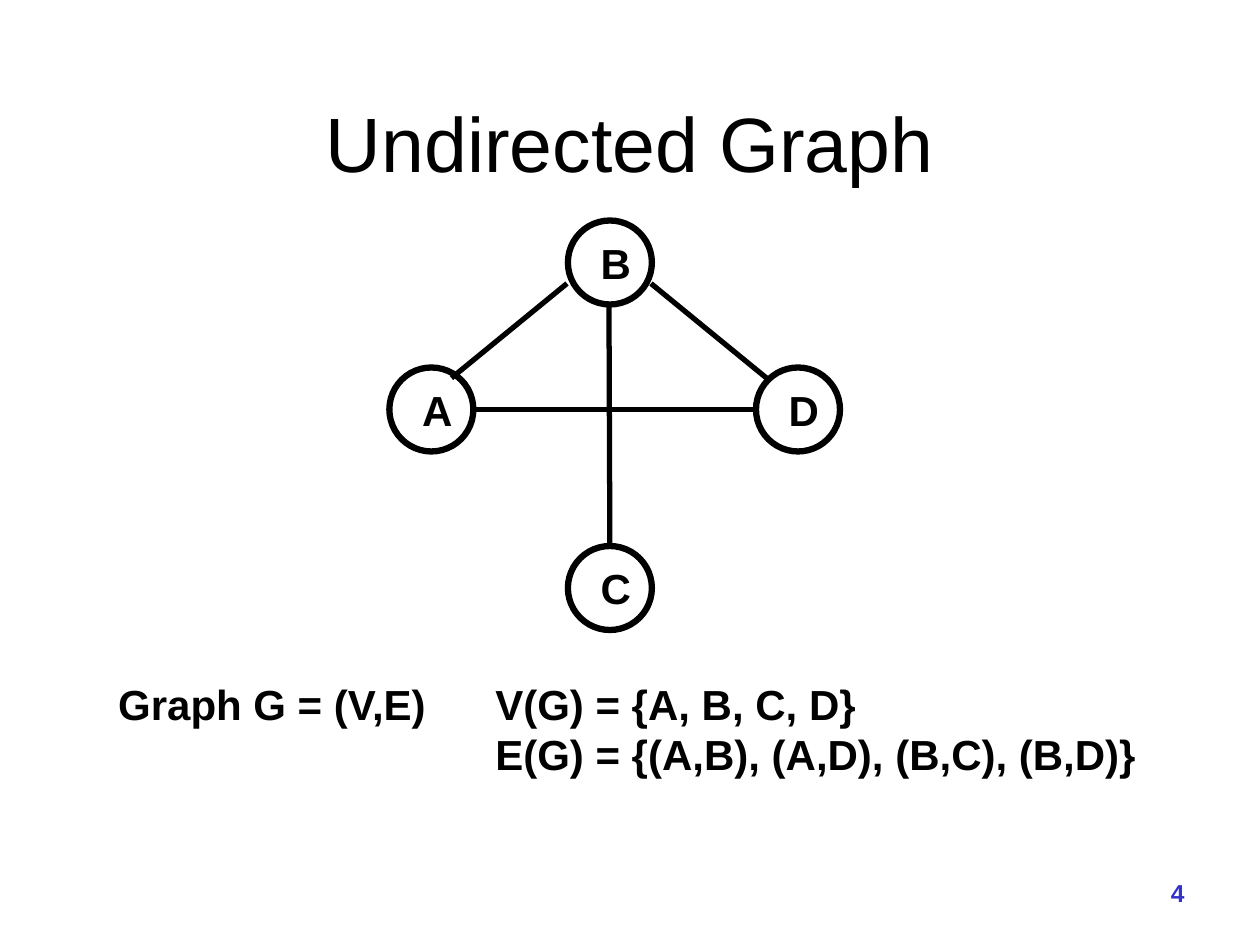
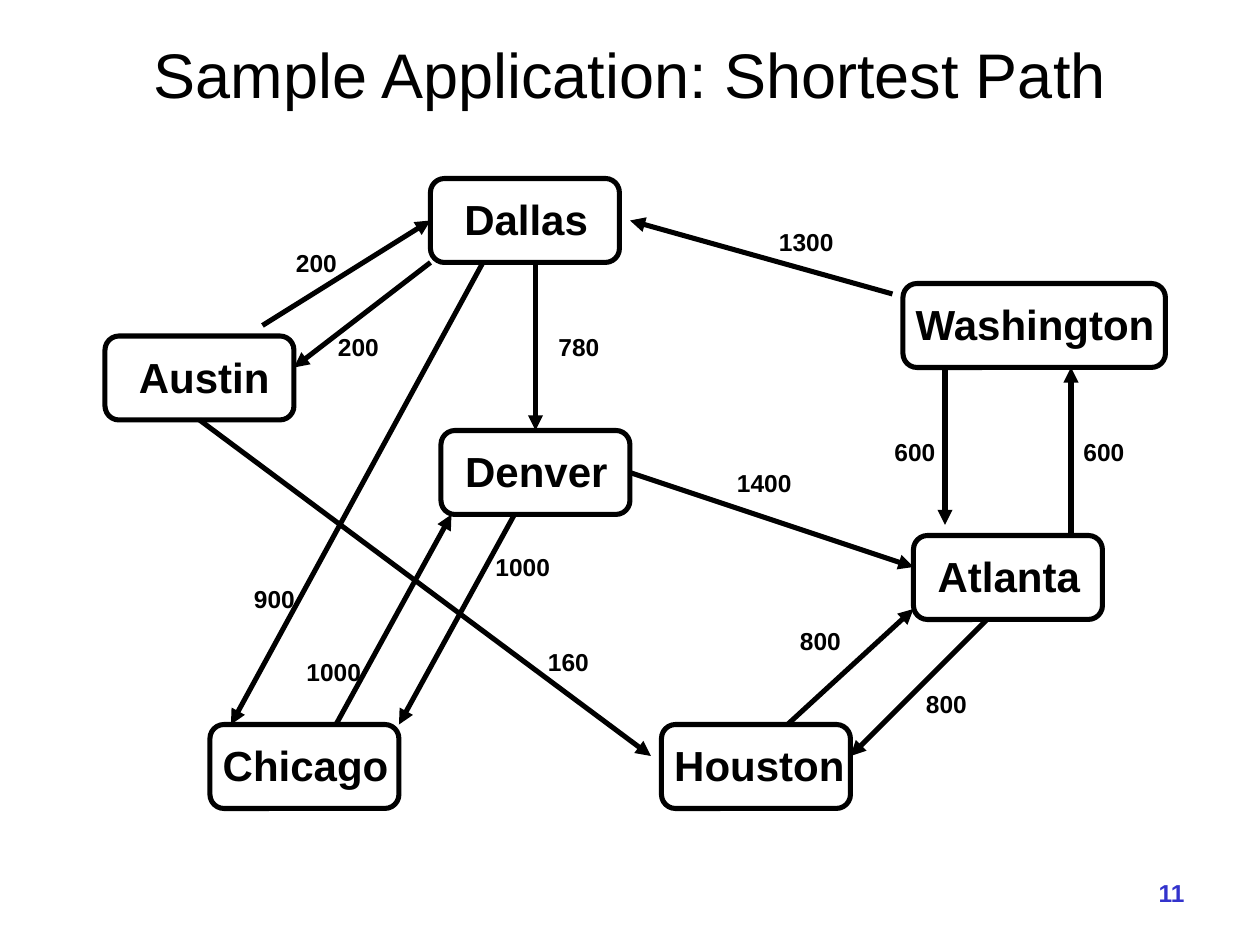
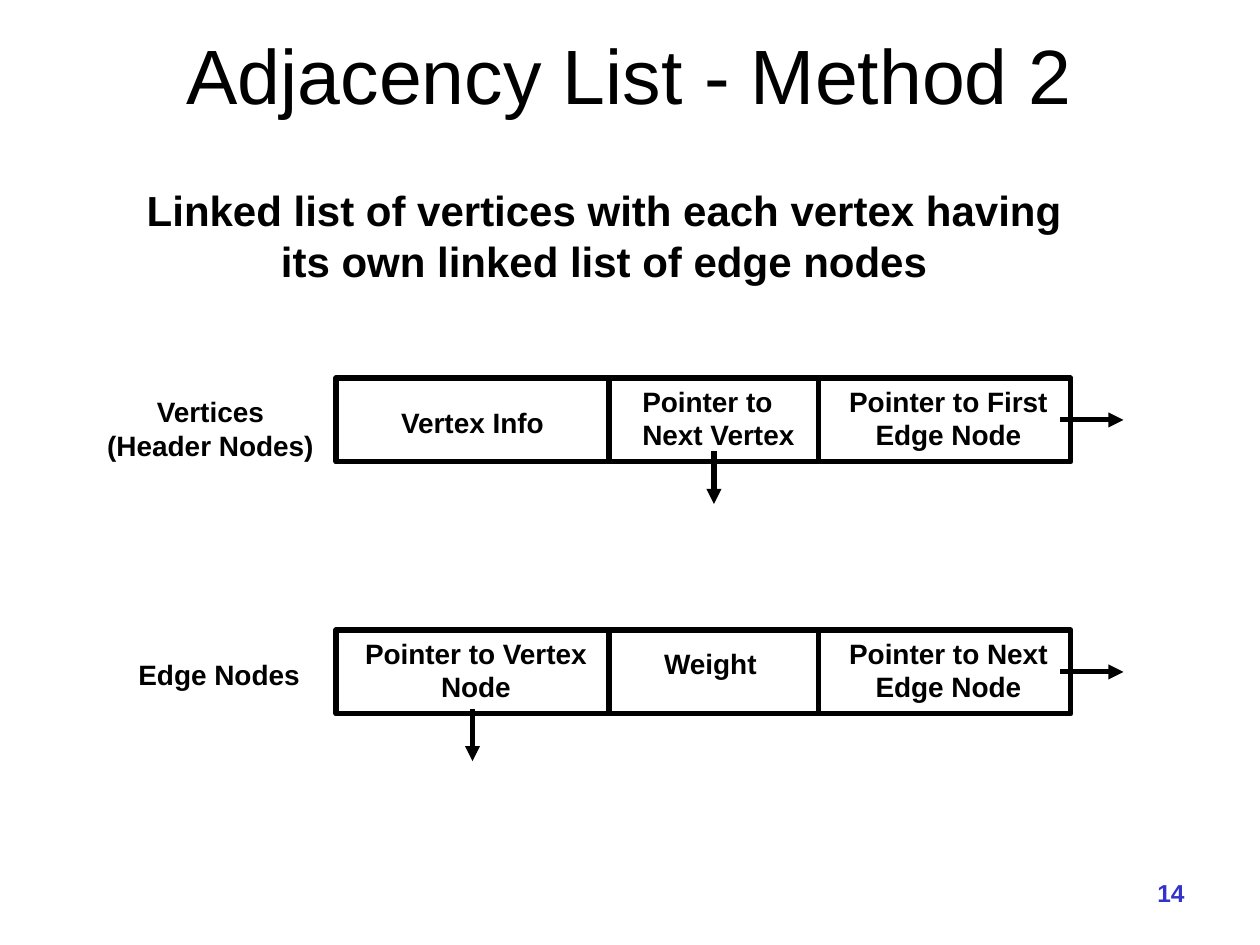
from lxml.etree import SubElement
from pptx import Presentation
from pptx.dml.color import RGBColor
from pptx.enum.shapes import MSO_CONNECTOR, MSO_SHAPE
from pptx.enum.text import MSO_ANCHOR, PP_ALIGN
from pptx.oxml.ns import qn
from pptx.util import Pt

FONT = "Arial"
BLACK = "000000"
BLUE = "3333CC"
LEFT, CENTER, RIGHT = PP_ALIGN.LEFT, PP_ALIGN.CENTER, PP_ALIGN.RIGHT
TOP, MIDDLE = MSO_ANCHOR.TOP, MSO_ANCHOR.MIDDLE
BOX_LINE = 2.89
NODE_H = 48


def rgb(color):
    """Turn a hex string into a colour."""
    return RGBColor.from_string(color)


def write(tf, lines, size, align=LEFT, color=BLACK, bold=True):
    """Fill a text frame with one paragraph per line."""
    for i, line in enumerate(lines):
        p = tf.paragraphs[0] if i == 0 else tf.add_paragraph()
        p.alignment = align
        r = p.add_run()
        r.text = line
        r.font.name = FONT
        r.font.size = Pt(size)
        r.font.bold = bold
        r.font.color.rgb = rgb(color)


def add_text(s, at, lines, size, align=LEFT, color=BLACK, bold=True, anchor=TOP, wrap=False):
    """Add a text box and return its text frame."""
    tf = s.shapes.add_textbox(*map(Pt, at)).text_frame
    tf.word_wrap = wrap
    tf.vertical_anchor = anchor
    write(tf, lines, size, align, color, bold)
    return tf


def add_box(s, kind, at, lines, size, inset, align=LEFT, anchor=MIDDLE, width=BOX_LINE):
    """Add an outlined shape whose text is set in by (left, top, bottom)."""
    sp = s.shapes.add_shape(kind, *map(Pt, at))
    sp.shadow.inherit = False
    sp.fill.background()
    sp.line.color.rgb = rgb(BLACK)
    sp.line.width = Pt(width)
    tf = sp.text_frame
    tf.word_wrap = True
    tf.vertical_anchor = anchor
    tf.margin_left, tf.margin_top, tf.margin_bottom = map(Pt, inset)
    tf.margin_right = 0
    write(tf, lines, size, align)
    return sp


def add_line(s, start, end, width=BOX_LINE, arrow=True):
    """Add a straight line, with an arrowhead at its end if wanted."""
    c = s.shapes.add_connector(MSO_CONNECTOR.STRAIGHT, *map(Pt, start + end))
    c.line.color.rgb = rgb(BLACK)
    c.line.width = Pt(width)
    if arrow:
        SubElement(c.line._get_or_add_ln(), qn("a:tailEnd"), type="triangle")
    SubElement(c._element.spPr, qn("a:effectLst"))
    return c


def add_tab_stop(tf, position):
    """Give every paragraph one left tab stop."""
    for p in tf.paragraphs:
        tabs = SubElement(p._p.get_or_add_pPr(), qn("a:tabLst"))
        SubElement(tabs, qn("a:tab"), pos=str(Pt(position)), algn="l")


def add_slide(prs, title, number, size=44, top=12, height=60):
    """Add a blank slide with its title and page number."""
    s = prs.slides.add_slide(prs.slide_layouts[6])
    add_text(s, (54, top, 612, height), [title], size, CENTER, bold=False,
             anchor=MIDDLE, wrap=True)
    add_text(s, (534, 498, 150, 30), [number], 14, RIGHT, BLUE, wrap=True)
    return s


def undirected_graph(prs):
    """Draw the four vertices, their edges and the set notation."""
    s = add_slide(prs, "Undirected Graph", "4", top=48, height=66)
    vertices = {"A": (222.5, 210), "B": (324.5, 126), "C": (324.5, 312), "D": (432, 210)}
    for name, (x, y) in vertices.items():
        add_box(s, MSO_SHAPE.OVAL, (x, y, NODE_H, NODE_H), [name], 24, (11.7, 0, 0), width=3.6)
    edges = [
        ((270, 234), (432, 234)),
        ((258, 216), (324, 162)),
        ((372, 162), (438, 216)),
        ((348, 174), (348.5, 312)),
    ]
    for start, end in edges:
        add_line(s, start, end, width=3, arrow=False)
    sets = ["Graph G = (V,E)\tV(G) = {A, B, C, D}", "\tE(G) = {(A,B), (A,D), (B,C), (B,D)}"]
    add_tab_stop(add_text(s, (60.5, 384, 596, 65), sets, 24), 215.5)


def shortest_path(prs):
    """Draw the cities and the weighted routes between them."""
    s = add_slide(prs, "Sample Application: Shortest Path", "11", size=36)
    cities = [
        ("Dallas", 246, 102, 108, 17),
        ("Austin", 60, 192, 108, 17),
        ("Denver", 252, 246, 108, 11.5),
        ("Washington", 516, 162, 150, 5),
        ("Chicago", 120, 414, 108, 5),
        ("Houston", 378, 414, 108, 5),
        ("Atlanta", 522, 306, 108, 11.5),
    ]
    boxes = {
        name: add_box(s, MSO_SHAPE.ROUNDED_RECTANGLE, (x, y, w, NODE_H), [name], 24, (left, 0, 2))
        for name, x, y, w, left in cities
    }
    routes = [
        ((150, 186), (246, 126), "200", (162, 138)),
        ((246, 150), (168, 210), "200", (186, 186)),
        ((306, 150), (306, 246), "780", (312, 186)),
        ((510, 168), (360, 126), "1300", (438, 126)),
        ((360, 270), (522, 324), "1400", (414, 264)),
        ((540, 210), (540, 300), "600", (504, 246)),
        ((612, 306), (612, 210), "600", (612, 246)),
        ((450, 414), (522, 348), "800", (450, 354)),
        ((564, 354), (486, 432), "800", (522, 390)),
        ((276, 150), (132, 414), "900", (138, 330)),
        ((294, 294), (228, 414), "1000", (276, 312)),
        ((192, 414), (258, 294), "1000", (168, 372)),
        ((114, 240), (372, 432), "160", (306, 366)),
    ]
    arrows = []
    for start, end, weight, (x, y) in routes:
        arrows.append(add_line(s, start, end))
        add_text(s, (x, y, 14.4 + 7.8 * len(weight), 24), [weight], 14)
    arrows[0].end_connect(boxes["Dallas"], 1)
    arrows[2].end_connect(boxes["Denver"], 0)
    arrows[4].begin_connect(boxes["Denver"], 3)
    arrows[12].begin_connect(boxes["Austin"], 2)


def add_record(s, top, cells):
    """Draw a row of three fields with a pointer leaving the last one."""
    x = 192
    for w, (lines, align, left, inset_top) in zip((156, 120, 144), cells):
        add_box(s, MSO_SHAPE.RECTANGLE, (x, top, w, NODE_H), lines, 16,
                (left, inset_top, 0), align, TOP)
        x += w
    add_line(s, (606, top + 24), (642, top + 24))


def adjacency_list(prs):
    """Draw the layout of header nodes and edge nodes."""
    s = add_slide(prs, "Adjacency List - Method 2", "14")
    heading = ["Linked list of vertices with each vertex having ", "its own linked list of edge nodes"]
    add_text(s, (73.5, 102, 543.5, 65), heading, 24, CENTER)
    add_text(s, (54, 222, 132.5, 46), ["Vertices", "(Header Nodes)"], 16, CENTER)
    add_text(s, (72, 372, 106.5, 26.5), ["Edge Nodes"], 16)
    add_record(s, 216, [
        (["Vertex Info"], CENTER, 0, 16),
        (["Pointer to", "Next Vertex"], LEFT, 19, 3.6),
        (["Pointer to First", "Edge Node"], CENTER, 4, 3.6),
    ])
    add_record(s, 360, [
        (["Pointer to Vertex", "Node"], CENTER, 4, 3.6),
        (["Weight"], LEFT, 31.5, 9.5),
        (["Pointer to Next", "Edge Node"], CENTER, 4, 3.6),
    ])
    for x, y in ((408, 258), (270, 405)):
        add_line(s, (x, y), (x, y + 30))


def main():
    """Build the three slides and save them."""
    prs = Presentation()
    prs.slide_width, prs.slide_height = Pt(720), Pt(540)
    undirected_graph(prs)
    shortest_path(prs)
    adjacency_list(prs)
    prs.save("out.pptx")


if __name__ == "__main__":
    main()
